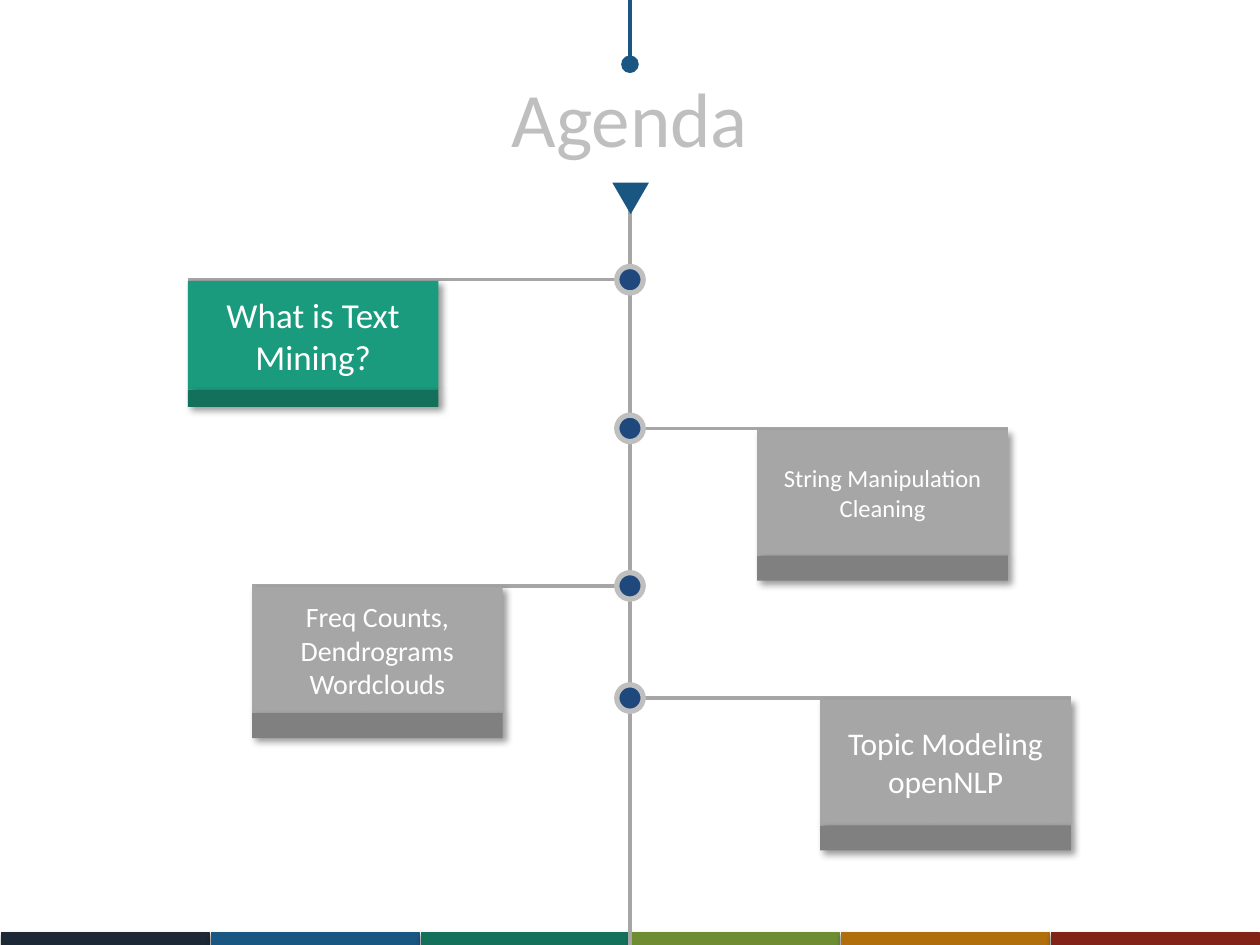
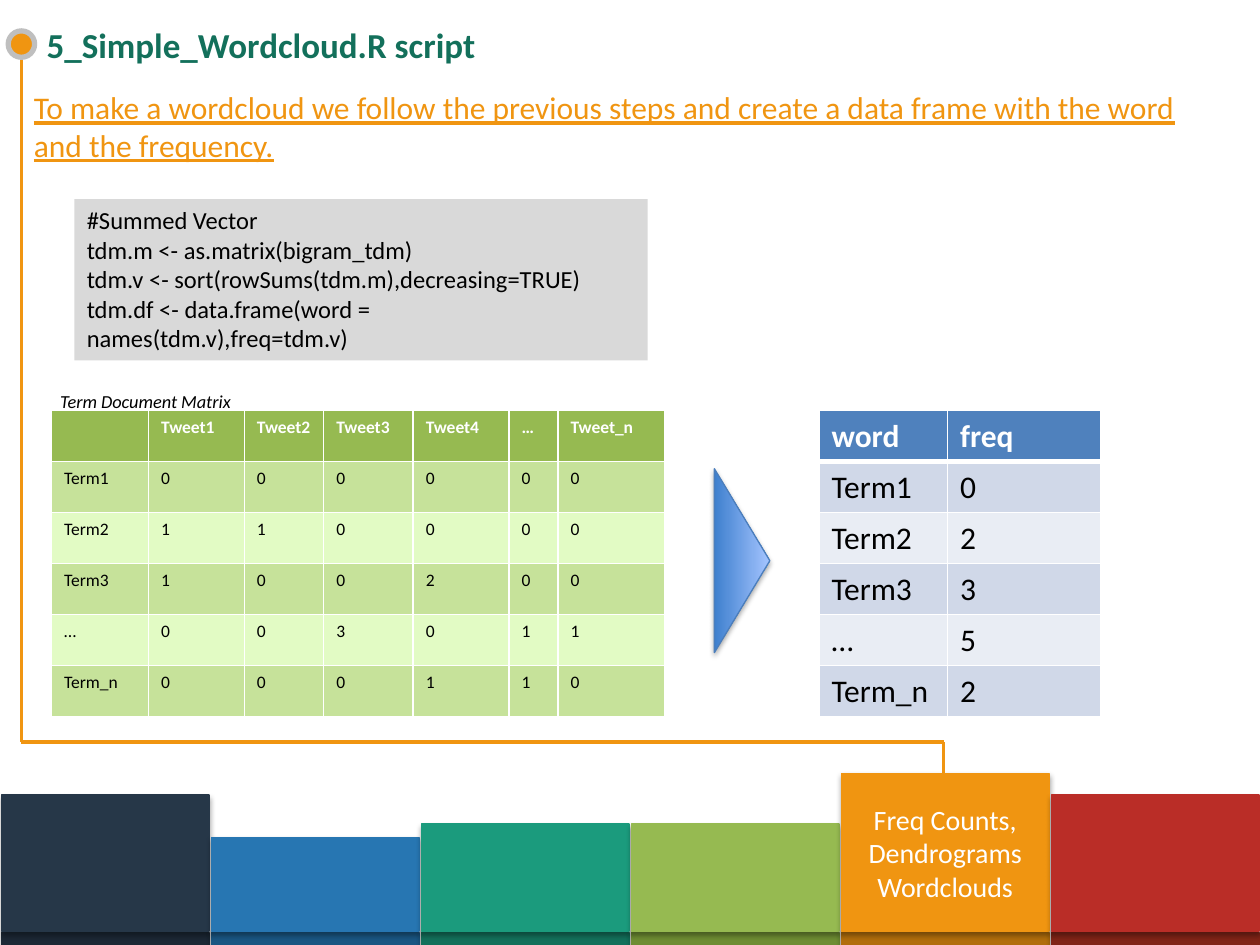
from lxml.etree import SubElement
from pptx import Presentation
from pptx.dml.color import RGBColor
from pptx.enum.shapes import MSO_CONNECTOR, MSO_SHAPE
from pptx.enum.text import MSO_ANCHOR, PP_ALIGN
from pptx.oxml.ns import qn
from pptx.util import Inches, Pt

WHITE = RGBColor(0xFF, 0xFF, 0xFF)
BLACK = RGBColor(0x00, 0x00, 0x00)
SILVER = RGBColor(0xBF, 0xBF, 0xBF)
PALE_GRAY = RGBColor(0xD9, 0xD9, 0xD9)
GRAY = RGBColor(0xA6, 0xA6, 0xA6)
DARK_GRAY = RGBColor(0x80, 0x80, 0x80)
NAVY = RGBColor(0x1F, 0x49, 0x7D)
SLATE = RGBColor(0x26, 0x37, 0x48)
DARK_SLATE = RGBColor(0x1C, 0x28, 0x35)
BLUE = RGBColor(0x27, 0x76, 0xB2)
DARK_BLUE = RGBColor(0x1A, 0x56, 0x82)
TEAL = RGBColor(0x1B, 0x9B, 0x7D)
DARK_TEAL = RGBColor(0x13, 0x70, 0x5B)
GREEN = RGBColor(0x96, 0xBA, 0x51)
DARK_GREEN = RGBColor(0x6E, 0x8D, 0x33)
ORANGE = RGBColor(0xF0, 0x95, 0x11)
DARK_ORANGE = RGBColor(0xB1, 0x6E, 0x0C)
RED = RGBColor(0xBA, 0x2D, 0x27)
DARK_RED = RGBColor(0x81, 0x24, 0x17)
GREEN_ROWS = (RGBColor(0xC6, 0xE2, 0x9A), RGBColor(0xE2, 0xFB, 0xC4))
TABLE_BLUE = RGBColor(0x4F, 0x81, 0xBD)
BLUE_ROWS = (RGBColor(0xD0, 0xD8, 0xE8), RGBColor(0xE9, 0xED, 0xF4))
ARROW_START = RGBColor(0x3F, 0x80, 0xCE)
ARROW_END = RGBColor(0xA4, 0xC4, 0xFF)
ARROW_LINE = RGBColor(0x4B, 0x7E, 0xBC)

BAND_COLORS = (DARK_SLATE, DARK_BLUE, DARK_TEAL, DARK_GREEN, DARK_ORANGE, DARK_RED)
BAND_SHADOW = (35, 3.1, 1.8, 90)
CARD_SHADOW = (40, 4, 3, 45)
BAND_PITCH = 10 / 6
BAND_WIDTH = 1.65
BAND_TOP = 7.4
NODE_SIZE = 0.21
CARD_WIDTH = 1.99


class SlideBuilder:
    font_name = "Calibri"

    def __init__(self, deck):
        self.deck = deck
        self.page = None

    def new_page(self, title, place, size, color, bold=False, align=PP_ALIGN.LEFT):
        self.page = self.deck.slides.add_slide(self.deck.slide_layouts[5])
        for column, band_color in enumerate(BAND_COLORS):
            self.block(column, BAND_TOP, 0.1, band_color)
        box = self.page.shapes.title
        box.left, box.top, box.width, box.height = map(Inches, place)
        self.fill_text(box, title, size, color, align, MSO_ANCHOR.MIDDLE, bold=bold)

    def fill_text(self, box, text, size, color, align=PP_ALIGN.LEFT,
                  anchor=MSO_ANCHOR.TOP, **style):
        frame = box.text_frame
        frame.word_wrap = True
        frame.vertical_anchor = anchor
        frame.text = text
        for para in frame.paragraphs:
            para.alignment = align
            self.style(para.font, size, color, **style)

    def style(self, font, size, color, bold=False, italic=False, underline=False):
        font.name = self.font_name
        font.size = Pt(size)
        font.color.rgb = color
        font.bold, font.italic, font.underline = bold, italic, underline

    def shape(self, kind, place, fill, line=None, line_width=0.75, shadow=None):
        box = self.page.shapes.add_shape(kind, *map(Inches, place))
        box.fill.solid()
        box.fill.fore_color.rgb = fill
        if line is None:
            box.line.fill.background()
        else:
            box.line.color.rgb = line
            box.line.width = Pt(line_width)
        box.shadow.inherit = False
        if shadow:
            self.cast_shadow(box, *shadow)
        return box

    def cast_shadow(self, box, opacity, blur, distance, angle):
        effects = box._element.spPr.find(qn("a:effectLst"))
        outer = SubElement(effects, qn("a:outerShdw"), blurRad=str(Pt(blur)),
                           dist=str(Pt(distance)), dir=str(angle * 60000),
                           rotWithShape="0")
        color = SubElement(outer, qn("a:srgbClr"), val=str(BLACK))
        SubElement(color, qn("a:alpha"), val=str(opacity * 1000))

    def text(self, place, text, size, color, **style):
        box = self.page.shapes.add_textbox(*map(Inches, place))
        self.fill_text(box, text, size, color, **style)

    def line(self, start, end, color):
        line = self.page.shapes.add_connector(
            MSO_CONNECTOR.STRAIGHT, *map(Inches, start + end))
        line.line.color.rgb = color
        line.line.width = Pt(2)
        SubElement(line._element.spPr, qn("a:effectLst"))

    def node(self, x, y, fill):
        place = (x - NODE_SIZE / 2, y - NODE_SIZE / 2, NODE_SIZE, NODE_SIZE)
        self.shape(MSO_SHAPE.OVAL, place, fill, SILVER, 3)

    def block(self, column, top, height, color):
        place = (0.01 + column * BAND_PITCH, top, BAND_WIDTH, height)
        return self.shape(MSO_SHAPE.RECTANGLE, place, color, color, shadow=BAND_SHADOW)

    def card(self, left, top, height, base_height, text, size, fill, base_fill):
        body = self.shape(MSO_SHAPE.RECTANGLE, (left, top, CARD_WIDTH, height),
                          fill, shadow=CARD_SHADOW)
        self.fill_text(body, text, size, WHITE, PP_ALIGN.CENTER, MSO_ANCHOR.MIDDLE)
        self.shape(MSO_SHAPE.RECTANGLE, (left, top + height, CARD_WIDTH, base_height),
                   base_fill, shadow=CARD_SHADOW)

    def table(self, left, top, height, widths, rows, size, header_fill, row_fills,
              header_rule=1):
        frame = self.page.shapes.add_table(
            len(rows), len(widths), Inches(left), Inches(top),
            Inches(sum(widths)), Inches(height))
        for column, width in zip(frame.table.columns, widths):
            column.width = Inches(width)
        for index, values in enumerate(rows):
            header = index == 0
            fill = header_fill if header else row_fills[(index - 1) % 2]
            for column, value in enumerate(values):
                cell = frame.table.cell(index, column)
                cell.text = value
                self.style(cell.text_frame.paragraphs[0].font, size,
                           WHITE if header else BLACK, bold=header)
                self.border(cell, top=header_rule if index == 1 else 1,
                            bottom=header_rule if header else 1)
                cell.fill.solid()
                cell.fill.fore_color.rgb = fill

    def border(self, cell, top, bottom):
        properties = cell._tc.get_or_add_tcPr()
        for side, width in (("lnL", 1), ("lnR", 1), ("lnT", top), ("lnB", bottom)):
            edge = SubElement(properties, qn(f"a:{side}"), w=str(Pt(width)))
            fill = SubElement(edge, qn("a:solidFill"))
            SubElement(fill, qn("a:srgbClr"), val=str(WHITE))


def build_agenda(builder):
    builder.new_page("Agenda", (0.5, 0.3, 9, 1.25), 44, SILVER, align=PP_ALIGN.CENTER)
    axis = 5
    builder.line((axis, 7.5), (axis, 1.5), GRAY)
    builder.line((axis, 0), (axis, 0.5), DARK_BLUE)
    builder.shape(MSO_SHAPE.OVAL, (4.93, 0.44, 0.14, 0.14), DARK_BLUE)
    pointer = builder.shape(MSO_SHAPE.ISOSCELES_TRIANGLE,
                            (4.86, 1.45, 0.29, 0.25), DARK_BLUE)
    pointer.rotation = 180

    gray_card = (1, 0.2)
    topics = (
        (1.49, 2.22, (0.86, 0.14), "What is Text Mining?", 20, TEAL, DARK_TEAL),
        (6.01, 3.4, gray_card, "String Manipulation\nCleaning", 14, GRAY, DARK_GRAY),
        (2, 4.65, gray_card, "Freq Counts, Dendrograms\nWordclouds", 16, GRAY, DARK_GRAY),
        (6.51, 5.54, gray_card, "Topic Modeling\nopenNLP", 18, GRAY, DARK_GRAY),
    )
    for left, top, heights, text, size, fill, base_fill in topics:
        outer_edge = left if left < axis else left + CARD_WIDTH
        builder.line((axis, top), (outer_edge, top), GRAY)
        builder.card(left, top + 0.01, *heights, text, size, fill, base_fill)
        builder.node(axis, top, NAVY)


def build_wordcloud(builder):
    builder.new_page("5_Simple_Wordcloud.R script", (0.27, 0.11, 9.46, 0.49),
                     20, DARK_TEAL, bold=True)
    blocks = ((6.31, SLATE), (6.65, BLUE), (6.54, TEAL),
              (6.54, GREEN), (6.14, ORANGE), (6.31, RED))
    for column, (top, color) in enumerate(blocks):
        block = builder.block(column, top, BAND_TOP - 0.01 - top, color)
        if color == ORANGE:
            builder.fill_text(block, "Freq Counts, Dendrograms\nWordclouds", 16, WHITE,
                              PP_ALIGN.CENTER, MSO_ANCHOR.MIDDLE)

    route = ((0.17, 0.46), (0.17, 5.89), (7.49, 5.89), (7.49, 6.14))
    for start, end in zip(route, route[1:]):
        builder.line(start, end, ORANGE)
    builder.node(0.17, 0.35, ORANGE)

    builder.text((0.17, 0.65, 9.51, 0.71),
                 "To make a wordcloud we follow the previous steps and create "
                 "a data frame with the word and the frequency.",
                 18, ORANGE, underline=True)
    code = builder.shape(MSO_SHAPE.RECTANGLE, (0.59, 1.58, 4.55, 1.28), PALE_GRAY)
    builder.fill_text(code, "#Summed Vector\n"
                            "tdm.m <- as.matrix(bigram_tdm)\n"
                            "tdm.v <- sort(rowSums(tdm.m),decreasing=TRUE)\n"
                            "tdm.df <- data.frame(word = names(tdm.v),freq=tdm.v)",
                      14, BLACK)

    matrix = (
        ("", "Tweet1", "Tweet2", "Tweet3", "Tweet4", "…", "Tweet_n"),
        ("Term1", *"000000"),
        ("Term2", *"110000"),
        ("Term3", *"100200"),
        ("…", *"003011"),
        ("Term_n", *"000110"),
    )
    builder.table(0.41, 3.26, 2.43, (0.77, 0.76, 0.63, 0.71, 0.76, 0.39, 0.85),
                  matrix, 10, GREEN, GREEN_ROWS)
    builder.text((0.38, 3.05, 1.7, 0.28), "Term Document Matrix", 10.5, BLACK,
                 italic=True)

    arrow = builder.shape(MSO_SHAPE.ISOSCELES_TRIANGLE, (5.16, 4.23, 1.46, 0.44),
                          ARROW_START, ARROW_LINE, shadow=BAND_SHADOW)
    arrow.rotation = 90
    arrow.fill.gradient()
    arrow.fill.gradient_angle = 90
    for stop, color in zip(arrow.fill.gradient_stops, (ARROW_START, ARROW_END)):
        stop.color.rgb = color

    frequencies = (("word", "freq"), ("Term1", "0"), ("Term2", "2"),
                   ("Term3", "3"), ("…", "5"), ("Term_n", "2"))
    builder.table(6.5, 3.26, 2.43, (1.02, 1.22), frequencies, 18,
                  TABLE_BLUE, BLUE_ROWS, header_rule=3)


def main():
    deck = Presentation()
    deck.slide_width = Inches(10)
    deck.slide_height = Inches(7.5)
    builder = SlideBuilder(deck)
    build_agenda(builder)
    build_wordcloud(builder)
    deck.save("out.pptx")


if __name__ == "__main__":
    main()
